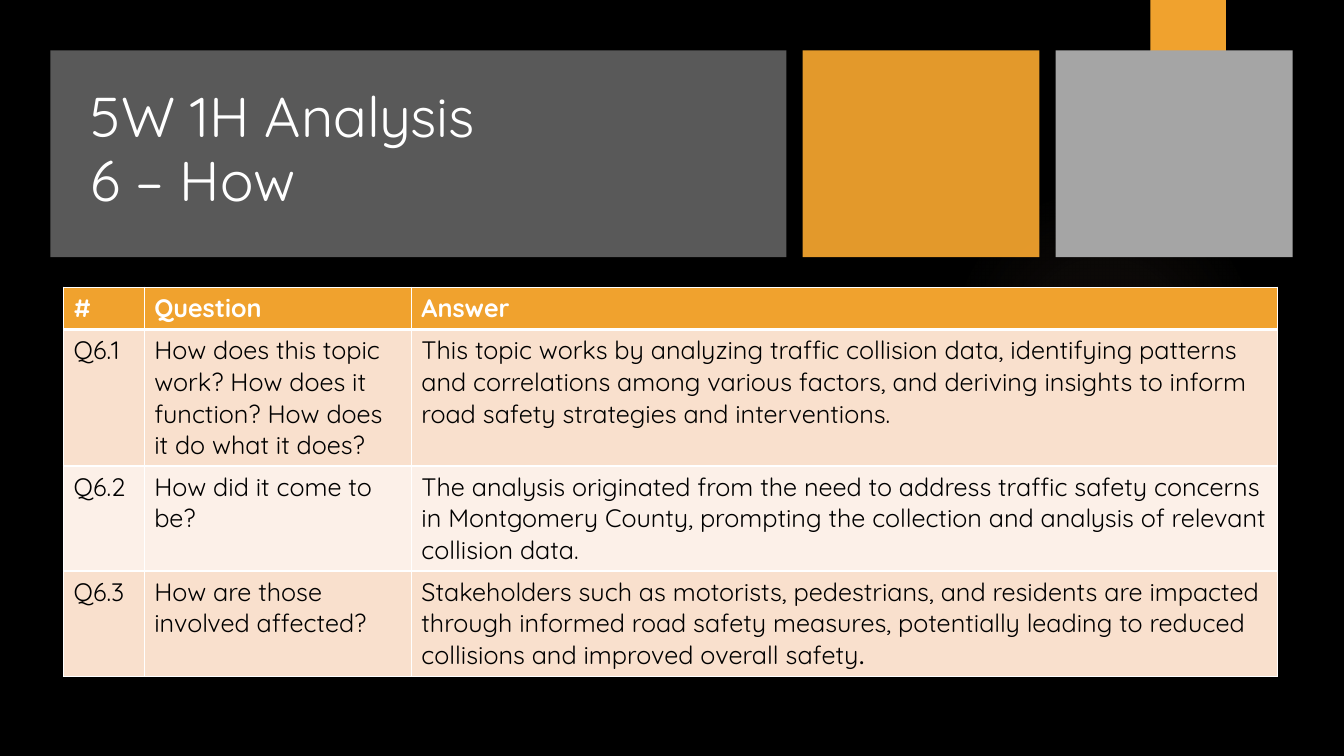
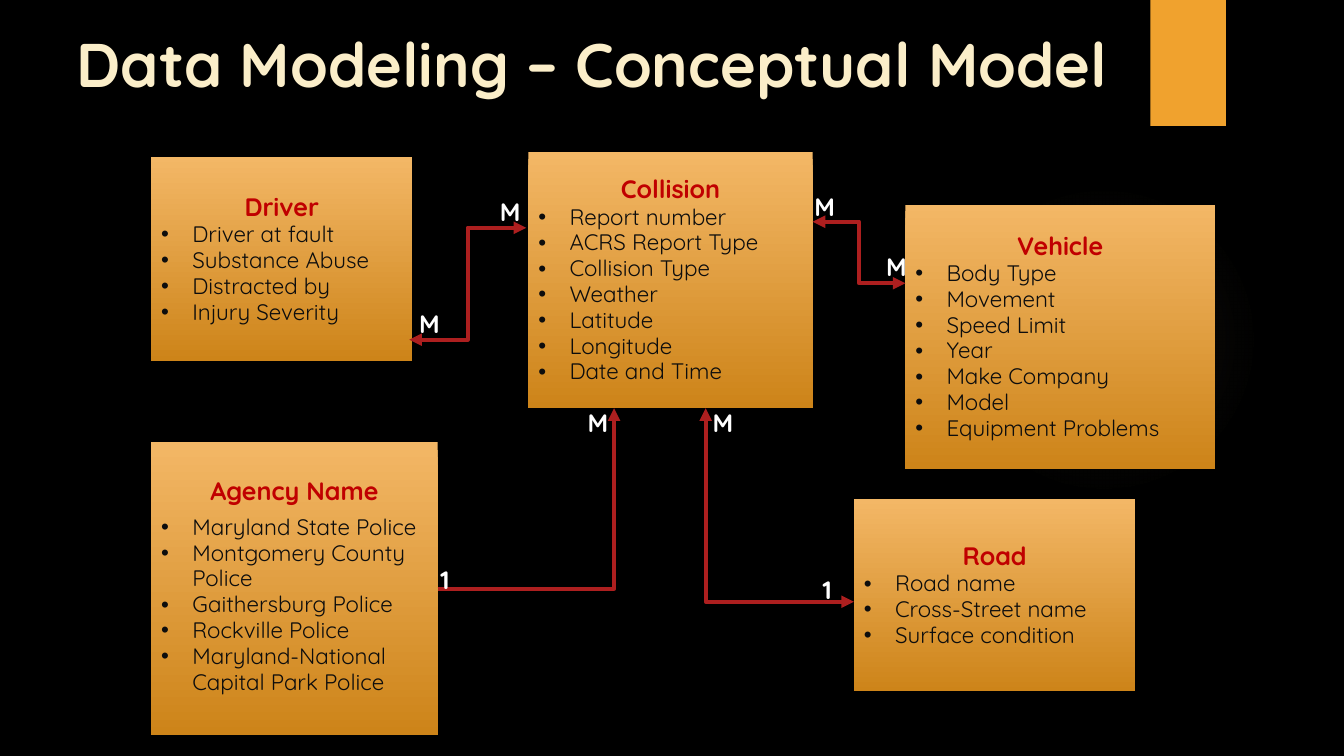
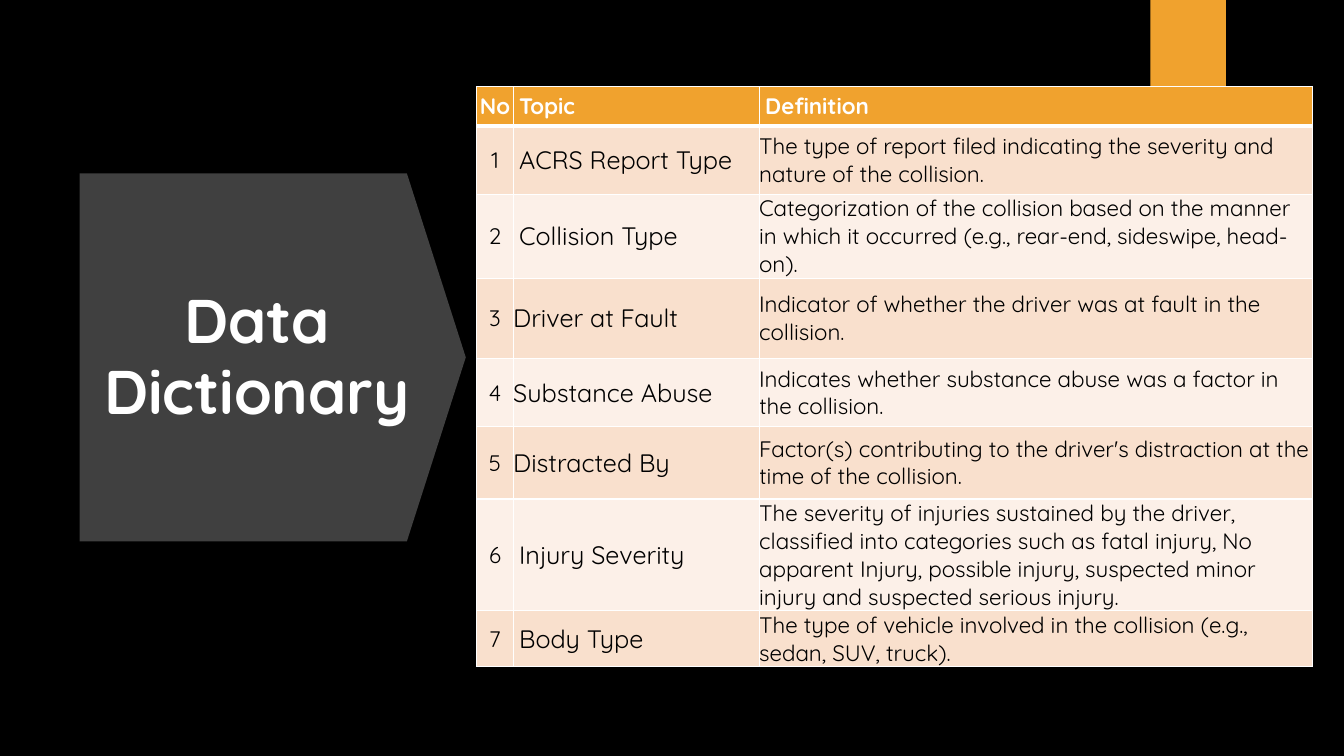
from dataclasses import dataclass
from typing import Optional

from lxml.etree import SubElement
from pptx import Presentation
from pptx.dml.color import RGBColor
from pptx.enum.shapes import MSO_CONNECTOR, MSO_SHAPE
from pptx.enum.text import MSO_ANCHOR, MSO_AUTO_SIZE, PP_ALIGN
from pptx.oxml import parse_xml
from pptx.oxml.ns import nsdecls, qn
from pptx.util import Inches, Pt

BLACK = RGBColor(0x00, 0x00, 0x00)
WHITE = RGBColor(0xFF, 0xFF, 0xFF)
ORANGE = RGBColor(0xF0, 0xA2, 0x2E)
LIGHT_ORANGE = RGBColor(0xF3, 0xB7, 0x66)
DARK_ORANGE = RGBColor(0xCD, 0x84, 0x19)
CREAM = RGBColor(0xFB, 0xEE, 0xC9)
PEACH = RGBColor(0xF9, 0xE0, 0xCD)
PALE_PEACH = RGBColor(0xFC, 0xF0, 0xE8)
CHARCOAL = RGBColor(0x40, 0x40, 0x40)
DARK_GREY = RGBColor(0x59, 0x59, 0x59)
LIGHT_GREY = RGBColor(0xA5, 0xA5, 0xA5)
INK = RGBColor(0x0D, 0x0D, 0x0D)
HEADING_RED = RGBColor(0xC0, 0x00, 0x00)
LINE_RED = RGBColor(0xAD, 0x1F, 0x1F)

FONT = "Quicksand"
TIGHT = 0.96
BULLET_INDENT = Inches(0.31)


@dataclass(frozen=True)
class Box:
    left: float
    top: float
    width: float
    height: float

    def lengths(self) -> tuple:
        return tuple(Inches(v) for v in (self.left, self.top, self.width, self.height))


@dataclass(frozen=True)
class Entity:
    name: str
    box: Box
    attributes: tuple[str, ...]
    heading_gap: int = 0
    top_inset: float = 0.05


@dataclass(frozen=True)
class Relation:
    start: tuple[float, float]
    end: tuple[float, float]
    single_bend: bool = False
    start_arrow: bool = True


@dataclass(frozen=True)
class Grid:
    left: float
    top: float
    widths: tuple[float, ...]
    heights: tuple[float, ...]
    rows: tuple[tuple[str, ...], ...]
    header_size: int
    sizes: tuple[int, ...]
    aligns: tuple = (PP_ALIGN.LEFT,) * 3
    anchor: MSO_ANCHOR = MSO_ANCHOR.TOP
    side_inset: float = 0.1
    top_inset: float = 0.05


def add_run(paragraph, text: str, size: int, color: RGBColor,
            bold: bool = False, font: str = FONT) -> None:
    run = paragraph.add_run()
    run.text = text
    run.font.name = font
    run.font.size = Pt(size)
    run.font.bold = bold
    run.font.color.rgb = color


def add_panel(slide, box: Box, color: Optional[RGBColor] = None, kind=MSO_SHAPE.RECTANGLE):
    """Draw a shape without line or shadow; no colour leaves the fill to the caller."""
    panel = slide.shapes.add_shape(kind, *box.lengths())
    panel.shadow.inherit = False
    panel.line.fill.background()
    if color is not None:
        panel.fill.solid()
        panel.fill.fore_color.rgb = color
    return panel


def add_glow(slide) -> None:
    glow = add_panel(slide, Box(9.41, 1.83, 3.08, 3.08), kind=MSO_SHAPE.OVAL)
    stops = "".join(
        f'<a:gs pos="{position}000"><a:srgbClr val="A78470">'
        f'<a:alpha val="{alpha}000"/></a:srgbClr></a:gs>'
        for position, alpha in ((0, 7), (36, 6), (69, 0)))
    gradient = parse_xml(
        f'<a:gradFill {nsdecls("a")} rotWithShape="1"><a:gsLst>{stops}</a:gsLst>'
        '<a:path path="circle"><a:fillToRect l="50000" t="50000" r="50000" b="50000"/>'
        '</a:path></a:gradFill>')
    glow._element.spPr.find(qn("a:prstGeom")).addnext(gradient)


def new_slide(deck):
    slide = deck.slides.add_slide(deck.slide_layouts.get_by_name("Title Only"))
    slide.background.fill.solid()
    slide.background.fill.fore_color.rgb = BLACK
    add_glow(slide)
    add_panel(slide, Box(11.41, 0, 0.75, 1.25), ORANGE)
    return slide


def set_title(slide, box: Box, lines: tuple[str, ...], size: int, color: RGBColor = WHITE,
              bold: bool = True, align=PP_ALIGN.LEFT, anchor=MSO_ANCHOR.TOP) -> None:
    """Format the title placeholder and bring it in front of the panels drawn so far."""
    title = slide.shapes.title
    title.left, title.top, title.width, title.height = box.lengths()
    slide.shapes._spTree.append(title._element)
    frame = title.text_frame
    frame.auto_size = MSO_AUTO_SIZE.NONE
    frame.word_wrap = True
    frame.vertical_anchor = anchor
    paragraph = frame.paragraphs[0]
    paragraph.alignment = align
    paragraph.line_spacing = TIGHT
    for index, line in enumerate(lines):
        if index:
            paragraph.add_line_break()
        add_run(paragraph, line, size, color, bold)


def set_borders(cell, bottom_width: int) -> None:
    properties = cell._tc.get_or_add_tcPr()
    for side, width in (("L", 1), ("R", 1), ("T", 1), ("B", bottom_width)):
        border = SubElement(properties, qn(f"a:ln{side}"), w=str(Pt(width)))
        SubElement(SubElement(border, qn("a:solidFill")), qn("a:srgbClr"), val=str(WHITE))


def add_grid(slide, grid: Grid):
    box = Box(grid.left, grid.top, sum(grid.widths), sum(grid.heights))
    table = slide.shapes.add_table(len(grid.rows), len(grid.widths), *box.lengths()).table
    for column, width in zip(table.columns, grid.widths):
        column.width = Inches(width)
    for r, (texts, height) in enumerate(zip(grid.rows, grid.heights)):
        table.rows[r].height = Inches(height)
        header = r == 0
        for c, text in enumerate(texts):
            cell = table.cell(r, c)
            set_borders(cell, 3 if header else 1)
            cell.fill.solid()
            cell.fill.fore_color.rgb = ORANGE if header else PEACH if r % 2 else PALE_PEACH
            cell.vertical_anchor = grid.anchor
            cell.margin_left = cell.margin_right = Inches(grid.side_inset)
            cell.margin_top = cell.margin_bottom = Inches(grid.top_inset)
            paragraph = cell.text_frame.paragraphs[0]
            paragraph.alignment = grid.aligns[c]
            add_run(paragraph, text, grid.header_size if header else grid.sizes[c],
                    WHITE if header else BLACK, header)
    return table


def add_bullet(paragraph) -> None:
    properties = paragraph._p.get_or_add_pPr()
    properties.set("marL", str(BULLET_INDENT))
    properties.set("indent", str(-BULLET_INDENT))
    SubElement(properties, qn("a:buFont"), typeface="Arial")
    SubElement(properties, qn("a:buChar"), char="•")


def add_entity(slide, entity: Entity) -> None:
    card = add_panel(slide, entity.box)
    card.fill.gradient()
    card.fill.gradient_angle = 270
    for stop, color in zip(card.fill.gradient_stops, (LIGHT_ORANGE, DARK_ORANGE)):
        stop.color.rgb = color
    frame = card.text_frame
    frame.word_wrap = True
    frame.vertical_anchor = MSO_ANCHOR.MIDDLE
    frame.margin_top = Inches(entity.top_inset)
    heading = frame.paragraphs[0]
    heading.alignment = PP_ALIGN.CENTER
    heading.line_spacing = TIGHT
    heading.space_after = Pt(entity.heading_gap)
    add_run(heading, entity.name, 18, HEADING_RED, True)
    for attribute in entity.attributes:
        item = frame.add_paragraph()
        item.alignment = PP_ALIGN.LEFT
        item.line_spacing = TIGHT
        add_bullet(item)
        add_run(item, attribute, 16, INK)


def add_relation(slide, relation: Relation) -> None:
    ends = (Inches(v) for v in relation.start + relation.end)
    connector = slide.shapes.add_connector(MSO_CONNECTOR.ELBOW, *ends)
    connector.line.color.rgb = LINE_RED
    connector.line.width = Pt(3)
    properties = connector._element.spPr
    if relation.single_bend:
        properties.find(qn("a:prstGeom")).set("prst", "bentConnector2")
    outline = connector.line._get_or_add_ln()
    if relation.start_arrow:
        SubElement(outline, qn("a:headEnd"), type="triangle")
    SubElement(outline, qn("a:tailEnd"), type="triangle")
    SubElement(properties, qn("a:effectLst"))


def add_cardinality(slide, text: str, left: float, top: float) -> None:
    label = slide.shapes.add_textbox(*Box(left, top, 0.37, 0.4).lengths())
    label.text_frame.word_wrap = True
    add_run(label.text_frame.paragraphs[0], text, 18, WHITE, True)


HOW_GRID = Grid(
    0.63, 2.85, (0.8, 2.65, 8.59), (0.42, 1.35, 1.04, 1.04),
    (
        ("#", "Question", "Answer"),
        ("Q6.1", "How does this topic work? How does it function? How does it do what it does?",
         "This topic works by analyzing traffic collision data, identifying patterns and "
         "correlations among various factors, and deriving insights to inform road safety "
         "strategies and interventions."),
        ("Q6.2", "How did it come to be?",
         "The analysis originated from the need to address traffic safety concerns in "
         "Montgomery County, prompting the collection and analysis of relevant collision data."),
        ("Q6.3", "How are those involved affected?",
         "Stakeholders such as motorists, pedestrians, and residents are impacted through "
         "informed road safety measures, potentially leading to reduced collisions and "
         "improved overall safety"),
    ),
    header_size=18, sizes=(18, 18, 18))

DICTIONARY_GRID = Grid(
    4.73, 0.86, (0.36, 2.44, 5.49), (0.39, 0.68, 0.83, 0.8, 0.67, 0.72, 1.11, 0.55),
    (
        ("No", "Topic", "Definition"),
        ("1", "ACRS Report Type",
         "The type of report filed indicating the severity and nature of the collision."),
        ("2", "Collision Type",
         "Categorization of the collision based on the manner in which it occurred "
         "(e.g., rear-end, sideswipe, head-on)."),
        ("3", "Driver at Fault",
         "Indicator of whether the driver was at fault in the collision."),
        ("4", "Substance Abuse",
         "Indicates whether substance abuse was a factor in the collision."),
        ("5", "Distracted By",
         "Factor(s) contributing to the driver's distraction at the time of the collision."),
        ("6", "Injury Severity",
         "The severity of injuries sustained by the driver, classified into categories such as "
         "fatal injury, No apparent Injury, possible injury, suspected minor injury and "
         "suspected serious injury."),
        ("7", "Body Type",
         "The type of vehicle involved in the collision (e.g., sedan, SUV, truck)."),
    ),
    header_size=16, sizes=(16, 18, 16),
    aligns=(PP_ALIGN.CENTER, PP_ALIGN.LEFT, PP_ALIGN.LEFT),
    anchor=MSO_ANCHOR.MIDDLE, side_inset=0, top_inset=0)
INDENTED_CELLS = ((0, 1), (0, 2), (1, 1), (2, 1), (6, 1), (7, 1))

ENTITIES = (
    Entity("Collision", Box(5.24, 1.51, 2.82, 2.54),
           ("Report number", "ACRS Report Type", "Collision Type", "Weather", "Latitude",
            "Longitude", "Date and Time")),
    Entity("Driver", Box(1.5, 1.56, 2.59, 2.02),
           ("Driver at fault", "Substance Abuse", "Distracted by", "Injury Severity")),
    Entity("Vehicle", Box(8.98, 2.03, 3.07, 2.62),
           ("Body Type", "Movement", "Speed Limit", "Year", "Make Company", "Model",
            "Equipment Problems")),
    Entity("Road", Box(8.47, 4.95, 2.79, 1.91),
           ("Road name", "Cross-Street name", "Surface condition")),
    Entity("Agency Name", Box(1.5, 4.39, 2.84, 2.9),
           ("Maryland State Police", "Montgomery County Police", "Gaithersburg Police",
            "Rockville Police", "Maryland-National Capital Park Police"),
           heading_gap=6, top_inset=0),
)

RELATIONS = (
    Relation((5.22, 2.26), (4.06, 3.37)),
    Relation((8.47, 5.97), (7, 4.05), single_bend=True),
    Relation((4.34, 5.84), (6.09, 4.05), single_bend=True, start_arrow=False),
    Relation((8.06, 2.2), (8.98, 2.81)),
)

CARDINALITIES = (
    ("M", 4.06, 3.01), ("M", 4.86, 1.9), ("M", 8.69, 2.44), ("M", 7.98, 1.85),
    ("M", 5.73, 3.99), ("1", 4.27, 5.55), ("M", 6.97, 3.99), ("1", 8.06, 5.65),
)


def build_how_slide(deck) -> None:
    slide = new_slide(deck)
    add_panel(slide, Box(0.5, 0.5, 7.3, 2.05), DARK_GREY)
    set_title(slide, Box(0.8, 0.8, 7, 1.56), ("5W 1H Analysis", "6 – How"), 40, bold=False)
    table = add_grid(slide, HOW_GRID)
    last_answer = table.cell(3, 2).text_frame.paragraphs[0]
    add_run(last_answer, ".", 18, BLACK, font="Calibri")
    accent = add_panel(slide, Box(7.96, 0.5, 2.35, 2.05), ORANGE)
    accent_color = accent._element.spPr.find(qn("a:solidFill")).find(qn("a:srgbClr"))
    SubElement(accent_color, qn("a:alpha"), val="95000")
    add_panel(slide, Box(10.47, 0.5, 2.35, 2.05), LIGHT_GREY)


def build_model_slide(deck) -> None:
    slide = new_slide(deck)
    set_title(slide, Box(0.66, 0.26, 11.5, 1.45), ("Data Modeling – Conceptual Model",), 44, CREAM)
    for entity in ENTITIES:
        add_entity(slide, entity)
    for relation in RELATIONS:
        add_relation(slide, relation)
    for cardinality in CARDINALITIES:
        add_cardinality(slide, *cardinality)


def build_dictionary_slide(deck) -> None:
    slide = new_slide(deck)
    pointer = add_panel(slide, Box(0.79, 1.72, 3.83, 3.65), CHARCOAL, MSO_SHAPE.PENTAGON)
    pointer.adjustments[0] = 0.16
    set_title(slide, Box(0.89, 2.15, 3.32, 2.79), ("Data", "Dictionary"), 44,
              align=PP_ALIGN.CENTER, anchor=MSO_ANCHOR.MIDDLE)
    table = add_grid(slide, DICTIONARY_GRID)
    for row, column in INDENTED_CELLS:
        table.cell(row, column).margin_left = Inches(0.06)


def main() -> None:
    deck = Presentation()
    deck.slide_width, deck.slide_height = Inches(13.33), Inches(7.5)
    build_how_slide(deck)
    build_model_slide(deck)
    build_dictionary_slide(deck)
    deck.save("out.pptx")


if __name__ == "__main__":
    main()
